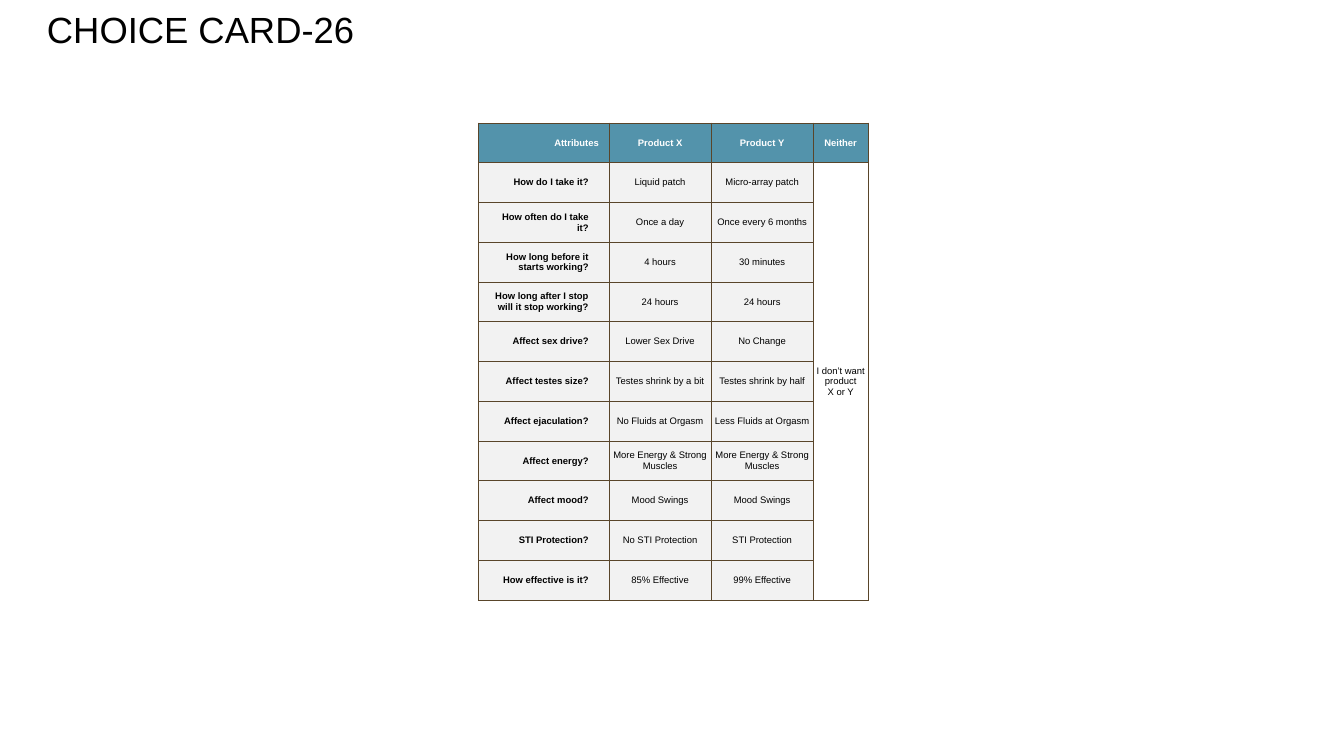
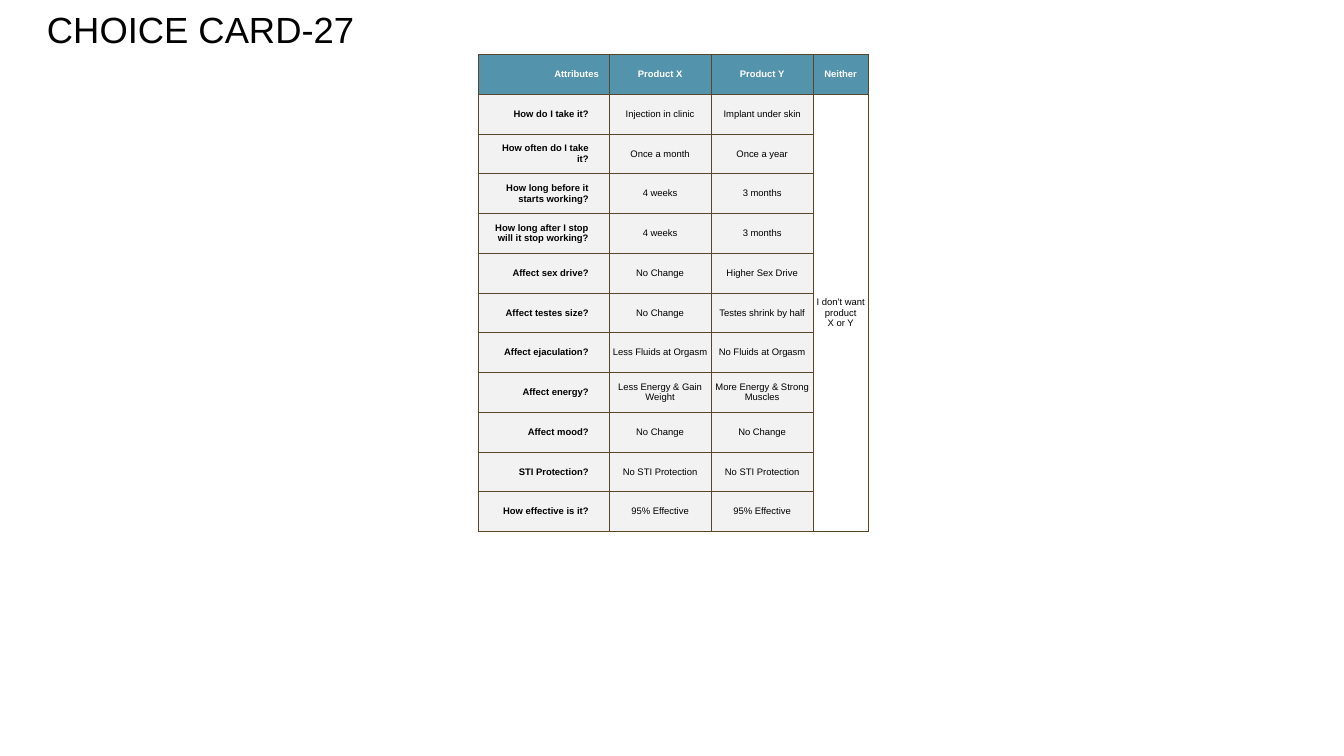
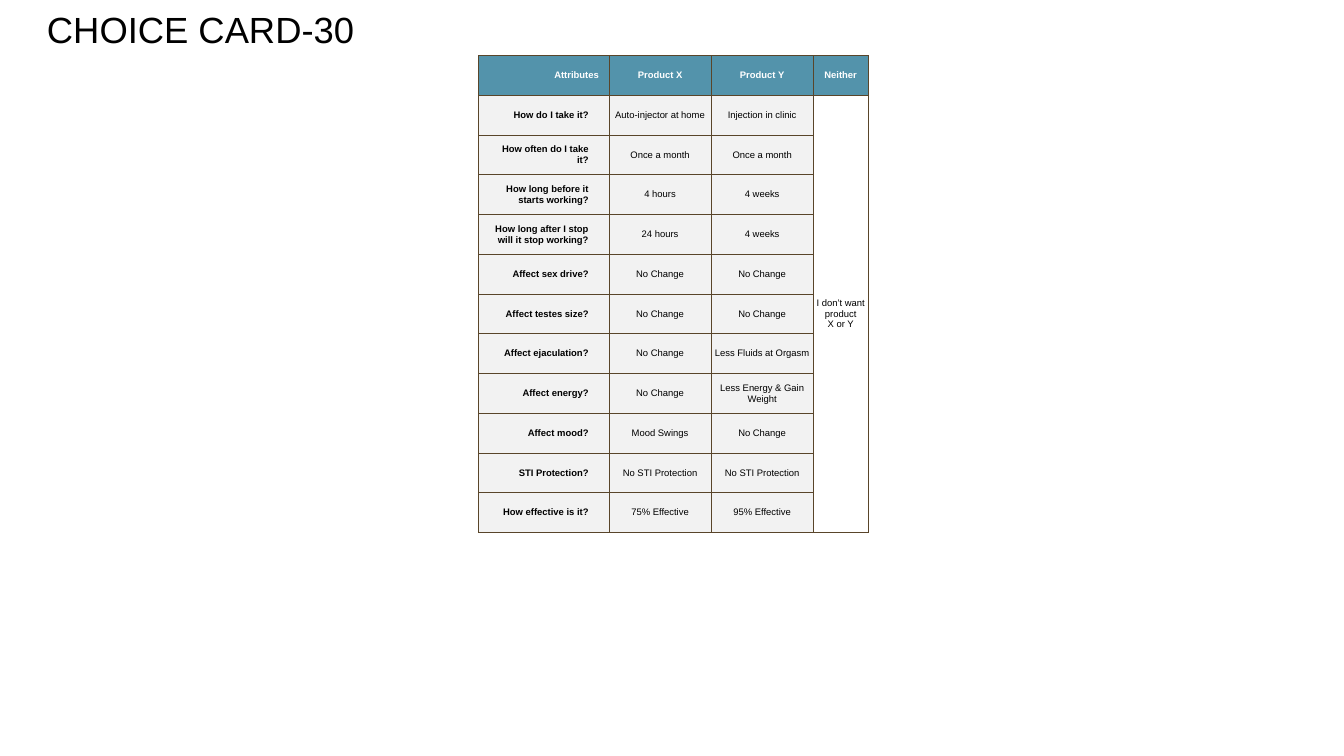
import pptx
import pptx.dml.color
import pptx.enum.text
import pptx.oxml.ns
import pptx.util
from lxml import etree

Inches, Pt = pptx.util.Inches, pptx.util.Pt
RGBColor = pptx.dml.color.RGBColor
ALIGN = pptx.enum.text.PP_ALIGN
ANCHOR = pptx.enum.text.MSO_ANCHOR

# Shared look
BLACK = RGBColor(0x00, 0x00, 0x00)
WHITE = RGBColor(0xFF, 0xFF, 0xFF)
TEAL = RGBColor(0x53, 0x93, 0xAB)
GREY = RGBColor(0xF2, 0xF2, 0xF2)
BROWN = RGBColor(0x59, 0x45, 0x2A)
FONT = "Arial"

TABLE_LEFT = 8.44
TABLE_HEIGHT = 8.41
COL_WIDTHS = (2.3, 1.8, 1.8, 0.97)

# Cell styles: margins are left, top, right, bottom
HEADER = dict(fill=TEAL, color=WHITE, bold=True, align=ALIGN.CENTER,
              margins=(0.18, 0.09, 0.18, 0.09))
HEADER_RIGHT = {**HEADER, "align": ALIGN.RIGHT}
QUESTION = dict(fill=GREY, color=BLACK, bold=True, align=ALIGN.RIGHT,
                margins=(0.18, 0.09, 0.36, 0.09))
ANSWER = dict(fill=GREY, color=BLACK, bold=False, align=ALIGN.CENTER,
              margins=(0.04, 0.02, 0.04, 0.02))
NEITHER = {**ANSWER, "fill": WHITE}

# Wording
HEADINGS = ("Attributes", "Product X", "Product Y", "Neither")
NEITHER_TEXT = "I don’t want product\nX or Y"
QUESTIONS = (
    "How do I take it?",
    "How often do I take it?",
    "How long before it starts working?",
    "How long after I stop will it stop working?",
    "Affect sex drive?",
    "Affect testes size?",
    "Affect ejaculation?",
    "Affect energy?",
    "Affect mood?",
    "STI Protection?",
    "How effective is it?",
)

# Card number, table top, answers for product X and product Y
CARDS = (
    (26, 2.17, (
        ("Liquid patch", "Micro-array patch"),
        ("Once a day", "Once every 6 months"),
        ("4 hours", "30 minutes"),
        ("24 hours", "24 hours"),
        ("Lower Sex Drive", "No Change"),
        ("Testes shrink by a bit", "Testes shrink by half"),
        ("No Fluids at Orgasm", "Less Fluids at Orgasm"),
        ("More Energy & Strong Muscles", "More Energy & Strong Muscles"),
        ("Mood Swings", "Mood Swings"),
        ("No STI Protection", "STI Protection"),
        ("85% Effective", "99% Effective"),
    )),
    (27, 0.96, (
        ("Injection in clinic", "Implant under skin"),
        ("Once a month", "Once a year"),
        ("4 weeks", "3 months"),
        ("4 weeks", "3 months"),
        ("No Change", "Higher Sex Drive"),
        ("No Change", "Testes shrink by half"),
        ("Less Fluids at Orgasm", "No Fluids at Orgasm"),
        ("Less Energy & Gain Weight", "More Energy & Strong Muscles"),
        ("No Change", "No Change"),
        ("No STI Protection", "No STI Protection"),
        ("95% Effective", "95% Effective"),
    )),
    (30, 0.98, (
        ("Auto-injector at home", "Injection in clinic"),
        ("Once a month", "Once a month"),
        ("4 hours", "4 weeks"),
        ("24 hours", "4 weeks"),
        ("No Change", "No Change"),
        ("No Change", "No Change"),
        ("No Change", "Less Fluids at Orgasm"),
        ("No Change", "Less Energy & Gain Weight"),
        ("Mood Swings", "No Change"),
        ("No STI Protection", "No STI Protection"),
        ("75% Effective", "95% Effective"),
    )),
)


def set_font(r, size, color, bold=False):
    for name, value in dict(name=FONT, size=Pt(size), bold=bold).items():
        setattr(r.font, name, value)
    r.font.color.rgb = color


def add_title(s, text):
    sp = s.shapes.add_textbox(Inches(0.73), Inches(0.42), Inches(18.05), Inches(0.74))
    tf = sp.text_frame
    tf.word_wrap = True
    p = tf.paragraphs[0]
    p.line_spacing = Pt(30.7)
    r = p.add_run()
    r.text = text
    set_font(r, 46.2, BLACK)


def add_borders(cell):
    qn = pptx.oxml.ns.qn
    tc_pr = cell._tc.get_or_add_tcPr()
    for side in ("a:lnL", "a:lnR", "a:lnT", "a:lnB"):
        ln = etree.SubElement(tc_pr, qn(side), w=str(Pt(1)))
        fill = etree.SubElement(ln, qn("a:solidFill"))
        etree.SubElement(fill, qn("a:srgbClr"), val=str(BROWN))


def format_cell(cell, text, style):
    add_borders(cell)
    cell.fill.solid()
    cell.fill.fore_color.rgb = style["fill"]
    cell.vertical_anchor = ANCHOR.MIDDLE
    for side, margin in zip(("left", "top", "right", "bottom"), style["margins"]):
        setattr(cell, f"margin_{side}", Inches(margin))
    cell.text = text
    for p in cell.text_frame.paragraphs:
        p.alignment = style["align"]
        for r in p.runs:
            set_font(r, 12, style["color"], style["bold"])


def add_choice_table(s, top, answers):
    n_rows = len(QUESTIONS) + 1
    table = s.shapes.add_table(
        n_rows, len(COL_WIDTHS), Inches(TABLE_LEFT), Inches(top),
        Inches(sum(COL_WIDTHS)), Inches(TABLE_HEIGHT)).table
    table.first_row = table.horz_banding = False
    for col, width in zip(table.columns, COL_WIDTHS):
        col.width = Inches(width)
    for row in table.rows:
        row.height = Inches(TABLE_HEIGHT / n_rows)

    # Header row, then one row per question
    rows = [(HEADINGS, (HEADER_RIGHT, HEADER, HEADER, HEADER))]
    for i, (question, pair) in enumerate(zip(QUESTIONS, answers)):
        rows.append(((question, *pair, "" if i else NEITHER_TEXT),
                     (QUESTION, ANSWER, ANSWER, NEITHER)))
    for i, (texts, styles) in enumerate(rows):
        for j, (text, style) in enumerate(zip(texts, styles)):
            format_cell(table.cell(i, j), text, style)

    # The "Neither" choice spans all questions
    table.cell(1, 3).merge(table.cell(n_rows - 1, 3))


def main():
    prs = pptx.Presentation()
    prs.slide_width, prs.slide_height = Inches(23.7), Inches(13.33)
    for number, top, answers in CARDS:
        s = prs.slides.add_slide(prs.slide_layouts[6])
        add_title(s, f"CHOICE CARD-{number}")
        add_choice_table(s, top, answers)
    prs.save("out.pptx")


if __name__ == "__main__":
    main()
